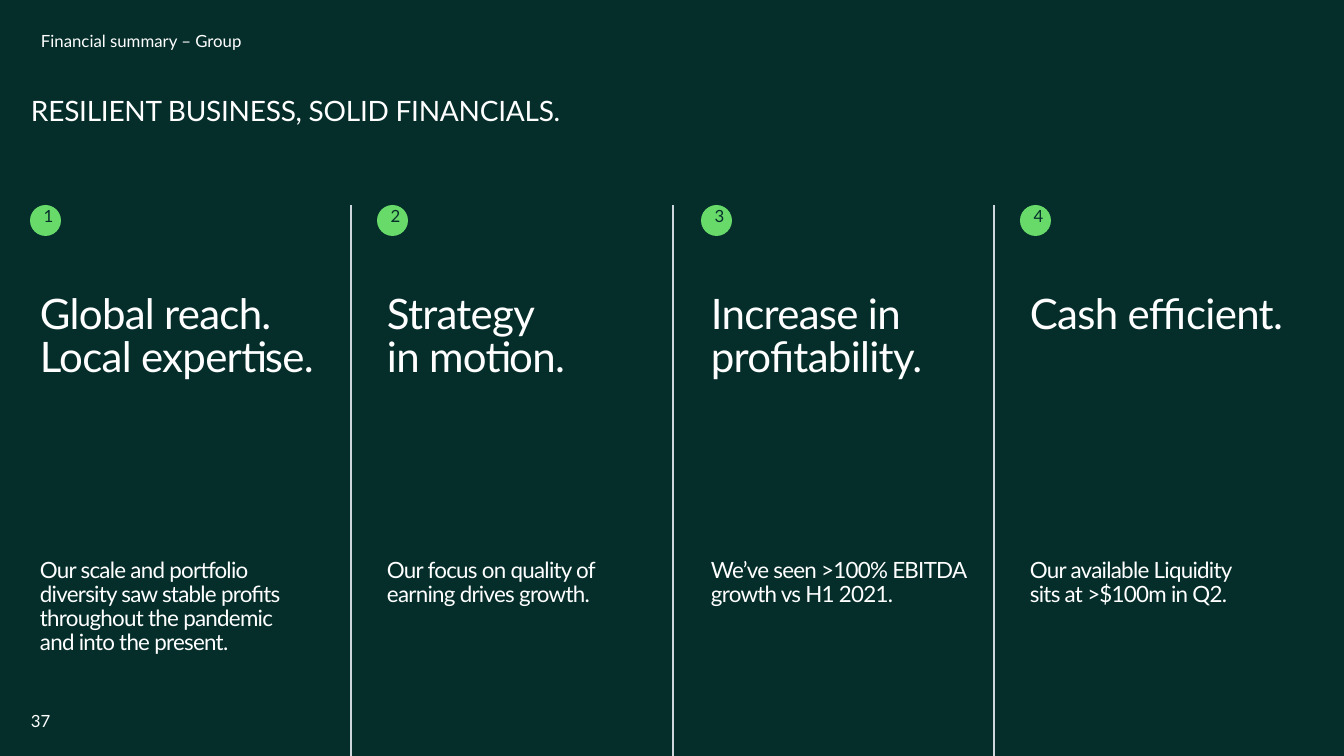
import pptx
import pptx.util
import pptx.dml.color
import pptx.enum.shapes
import pptx.enum.text
import pptx.oxml.ns
import lxml.etree

SCALE = 914400 / 100.8  # EMU in one px
WIDE, HIGH = 1344, 756
FONT = "Lato"
COLORS = {"back": "052E2B", "text": "FFFFFF", "badge": "68DA6A", "rule": "CDD6DB"}

ALIGN = pptx.enum.text.PP_ALIGN
ANCHOR = pptx.enum.text.MSO_ANCHOR

TOP = 205
LEFTS = (30, 377, 701, 1020)
RULES = (351, 673, 994)
POINTS = (
    ("""Global reach.
Local expertise.""", """Our scale and portfolio
diversity saw stable profits throughout the pandemic
and into the present."""),
    ("""Strategy
in motion.""", "Our focus on quality of earning drives growth."),
    ("Increase in profitability.", "We’ve seen >100% EBITDA growth vs H1 2021."),
    ("Cash efficient.", """Our available Liquidity
sits at >$100m in Q2."""),
)


def px(num):
    return pptx.util.Emu(round(num * SCALE))


def color(name):
    return pptx.dml.color.RGBColor.from_string(COLORS[name])


def write(shape, text, size, ink="text", space=1.0, track=0, after=0,
          inset=(10, 5, 10, 5), anchor=ANCHOR.TOP, align=ALIGN.LEFT, wrap=True):
    """Put one formatted paragraph into a shape; track is in 1/100 pt."""
    frame = shape.text_frame
    frame.word_wrap = wrap
    frame.auto_size = pptx.enum.text.MSO_AUTO_SIZE.NONE
    frame.vertical_anchor = anchor
    (frame.margin_left, frame.margin_top,
     frame.margin_right, frame.margin_bottom) = map(px, inset)
    para = frame.paragraphs[0]
    para.text = text
    para.alignment = align
    para.line_spacing = space
    para.space_before = pptx.util.Pt(0)
    para.space_after = pptx.util.Pt(after)
    for run in para.runs:
        run.font.name = FONT
        run.font.size = pptx.util.Pt(size)
        run.font.color.rgb = color(ink)
        if track:
            run.font._element.set("spc", str(track))


def add_text(slide, box, text, size, **style):
    write(slide.shapes.add_textbox(*map(px, box)), text, size, **style)


def add_head(slide, left, top):
    """Section label and slide title."""
    add_text(slide, (left, top, 398, 18), "Financial summary – Group", 12, space=0.9)
    title = slide.shapes.title
    title.left, title.top, title.width, title.height = map(px, (left, top + 69, 635, 30))
    write(title, "RESILIENT BUSINESS, SOLID FINANCIALS.", 20,
          space=0.9, track=-20, inset=(0, 0, 0, 0))


def add_badge(slide, left, top, label):
    """Numbered green disc."""
    disc = slide.shapes.add_shape(
        pptx.enum.shapes.MSO_SHAPE.OVAL, *map(px, (left, top, 31, 31)))
    disc.shadow.inherit = False
    disc.fill.solid()
    disc.fill.fore_color.rgb = color("badge")
    disc.line.fill.background()
    write(disc, label, 12, ink="back", space=0.8, inset=(6, 0, 0, 5),
          anchor=ANCHOR.MIDDLE, align=ALIGN.CENTER, wrap=False)


def add_point(slide, left, top, label, head, body):
    """One column: badge, heading and text."""
    add_badge(slide, left, top, label)
    add_text(slide, (left, top + 85, 297, 86), head, 30,
             space=0.85, track=-50, after=12)
    add_text(slide, (left, top + 349, 297, 58), body, 16,
             space=0.9, track=-50, after=6)


def add_rule(slide, left, top):
    """Upright divider down to the slide edge."""
    rule = slide.shapes.add_connector(
        pptx.enum.shapes.MSO_CONNECTOR.STRAIGHT, *map(px, (left, HIGH, left, top)))
    rule.line.color.rgb = color("rule")
    rule.line.width = pptx.util.Pt(1)
    lxml.etree.SubElement(rule._element.spPr, pptx.oxml.ns.qn("a:effectLst"))


def main():
    deck = pptx.Presentation()
    deck.slide_width, deck.slide_height = px(WIDE), px(HIGH)
    slide = deck.slides.add_slide(deck.slide_layouts.get_by_name("Title Only"))
    slide.background.fill.solid()
    slide.background.fill.fore_color.rgb = color("back")

    add_head(slide, 31, 28)
    for num, (left, point) in enumerate(zip(LEFTS, POINTS), 1):
        add_point(slide, left, TOP, str(num), *point)
    for left in RULES:
        add_rule(slide, left, TOP)

    # Page number
    add_text(slide, (31, 701, 39, 40), "37", 12,
             inset=(0, 0, 0, 0), anchor=ANCHOR.MIDDLE)
    deck.save("out.pptx")


if __name__ == "__main__":
    main()
